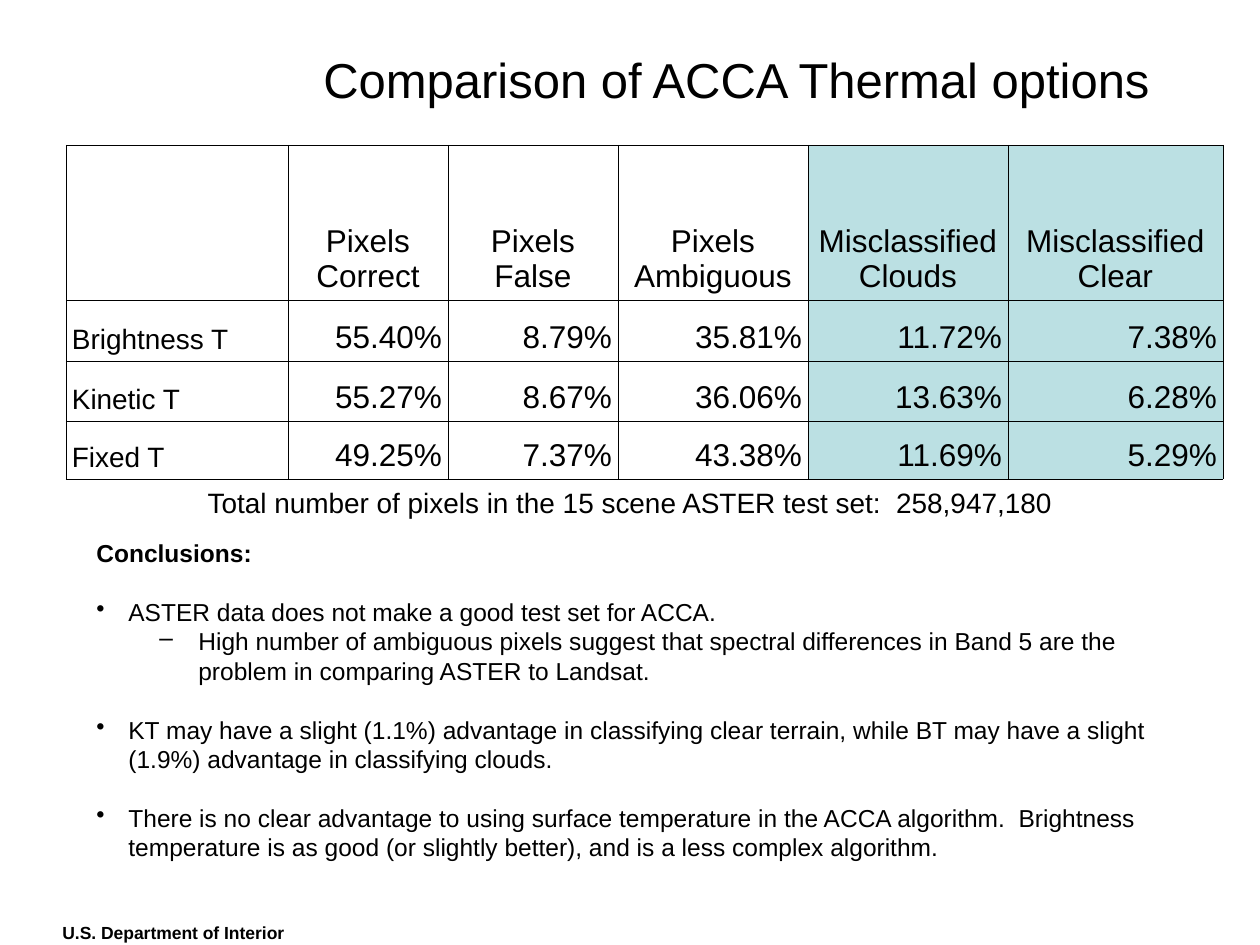
from lxml import etree
from pptx import Presentation
from pptx import util as u
from pptx.dml.color import RGBColor
from pptx.enum import text
from pptx.oxml import ns

BLACK = RGBColor(0x00, 0x00, 0x00)
PALE_TEAL = RGBColor(0xBB, 0xE0, 0xE3)
FONT = "Arial"
HAIRLINE, THIN = u.Pt(0.11), u.Pt(0.45)
LEFT, CENTER, RIGHT = text.PP_ALIGN.LEFT, text.PP_ALIGN.CENTER, text.PP_ALIGN.RIGHT

HEADERS = ["", "Pixels Correct", "Pixels False", "Pixels Ambiguous",
           "Misclassified Clouds", "Misclassified Clear"]
RESULTS = [
    ["Brightness T", "55.40%", "8.79%", "35.81%", "11.72%", "7.38%"],
    ["Kinetic T", "55.27%", "8.67%", "36.06%", "13.63%", "6.28%"],
    ["Fixed T", "49.25%", "7.37%", "43.38%", "11.69%", "5.29%"],
]
COLUMN_WIDTHS = [222, 160, 170, 190, 200, 215]
ROW_HEIGHTS = [155, 61, 60, 58]
FIRST_SHADED_COLUMN = 4

CONCLUSIONS = [
    ("Conclusions:", dict(bold=True)),
    ("ASTER data does not make a good test set for ACCA.",
     dict(bullet="•", before=16.8)),
    ("High number of ambiguous pixels suggest that spectral differences in "
     "Band 5 are the problem in comparing ASTER to Landsat.",
     dict(bullet="–", level=1, margin=102, hang=39)),
    ("KT may have a slight (1.1%) advantage in classifying clear terrain, "
     "while BT may have a slight (1.9%) advantage in classifying clouds.",
     dict(bullet="•", before=16.8)),
    ("There is no clear advantage to using surface temperature in the ACCA "
     "algorithm.  Brightness temperature is as good (or slightly better), "
     "and is a less complex algorithm.",
     dict(bullet="•", before=16.8)),
]


def px(length):
    """Turn pixels into EMU at 126 pixels to the inch."""
    return u.Emu(round(length * 914400 / 126))


def write(para, words, size=14, bold=False, align=LEFT, before=0, level=0,
          bullet=None, margin=32, hang=32):
    """Fill a paragraph with formatted text and an optional hanging bullet."""
    para.alignment = align
    para.level = level
    para.space_before = u.Pt(before)
    if words:
        span = para.add_run()
        span.text = words
        span.font.name = FONT
        span.font.size = u.Pt(size)
        span.font.bold = bold
        span.font.color.rgb = BLACK
    if bullet:
        props = para._p.get_or_add_pPr()
        props.set("marL", str(px(margin)))
        props.set("indent", str(-px(hang)))
        etree.SubElement(props, ns.qn("a:buChar"), char=bullet)


def add_text_box(page, left, top, width, height, lines,
                 anchor=text.MSO_ANCHOR.TOP):
    """Add a wrapping text box with one paragraph for each line."""
    box = page.shapes.add_textbox(px(left), px(top), px(width), px(height))
    frame = box.text_frame
    frame.word_wrap = True
    frame.vertical_anchor = anchor
    for index, (words, style) in enumerate(lines):
        para = frame.add_paragraph() if index else frame.paragraphs[0]
        write(para, words, **style)


def set_borders(cell, widths):
    """Draw black cell borders with the given left, right, top and bottom widths."""
    props = cell._tc.get_or_add_tcPr()
    for index, (side, width) in enumerate(zip("LRTB", widths)):
        line = etree.Element(ns.qn(f"a:ln{side}"), w=str(width))
        fill = etree.SubElement(line, ns.qn("a:solidFill"))
        etree.SubElement(fill, ns.qn("a:srgbClr"), val=str(BLACK))
        props.insert(index, line)


def cell_style(row, column):
    """Return the text format for a place in the results table."""
    if row == 0:
        return dict(size=18, align=CENTER)
    if column == 0:
        return dict(size=16)
    return dict(size=18, align=RIGHT, before=4.5)


def add_results_table(page, left, top):
    """Add the accuracy table with its two shaded misclassification columns."""
    rows = [HEADERS] + RESULTS
    last = len(HEADERS) - 1
    table = page.shapes.add_table(
        len(rows), len(HEADERS), px(left), px(top),
        px(sum(COLUMN_WIDTHS)), px(sum(ROW_HEIGHTS))).table
    table.first_row = table.horz_banding = False
    for column, width in zip(table.columns, COLUMN_WIDTHS):
        column.width = px(width)
    for r, (values, height) in enumerate(zip(rows, ROW_HEIGHTS)):
        table.rows[r].height = px(height)
        for c, value in enumerate(values):
            cell = table.cell(r, c)
            cell.vertical_anchor = text.MSO_ANCHOR.BOTTOM
            cell.margin_left = cell.margin_right = px(6)
            cell.margin_top = cell.margin_bottom = px(6)
            if c >= FIRST_SHADED_COLUMN:
                cell.fill.solid()
                cell.fill.fore_color.rgb = PALE_TEAL
            else:
                cell.fill.background()
            set_borders(cell, [HAIRLINE if c == 0 else THIN,
                               HAIRLINE if c == last else THIN,
                               HAIRLINE, HAIRLINE])
            write(cell.text_frame.paragraphs[0], value, **cell_style(r, c))


def main():
    """Build the thermal options slide and save it."""
    deck = Presentation()
    deck.slide_width, deck.slide_height = px(1260), px(945)
    page = deck.slides.add_slide(deck.slide_layouts[6])
    add_text_box(page, 50, 916, 253, 34,
                 [("U.S. Department of Interior", dict(size=10, bold=True))])
    add_text_box(page, 311, 0, 886, 158,
                 [("Comparison of ACCA Thermal options", dict(size=28))],
                 anchor=text.MSO_ANCHOR.MIDDLE)
    add_results_table(page, 66, 145)
    add_text_box(page, 125, 479, 1010, 47,
                 [("Total number of pixels in the 15 scene ASTER test set:  "
                   "258,947,180", dict(size=16, align=CENTER))])
    add_text_box(page, 84, 532, 1092, 345, CONCLUSIONS)
    deck.save("out.pptx")


if __name__ == "__main__":
    main()
